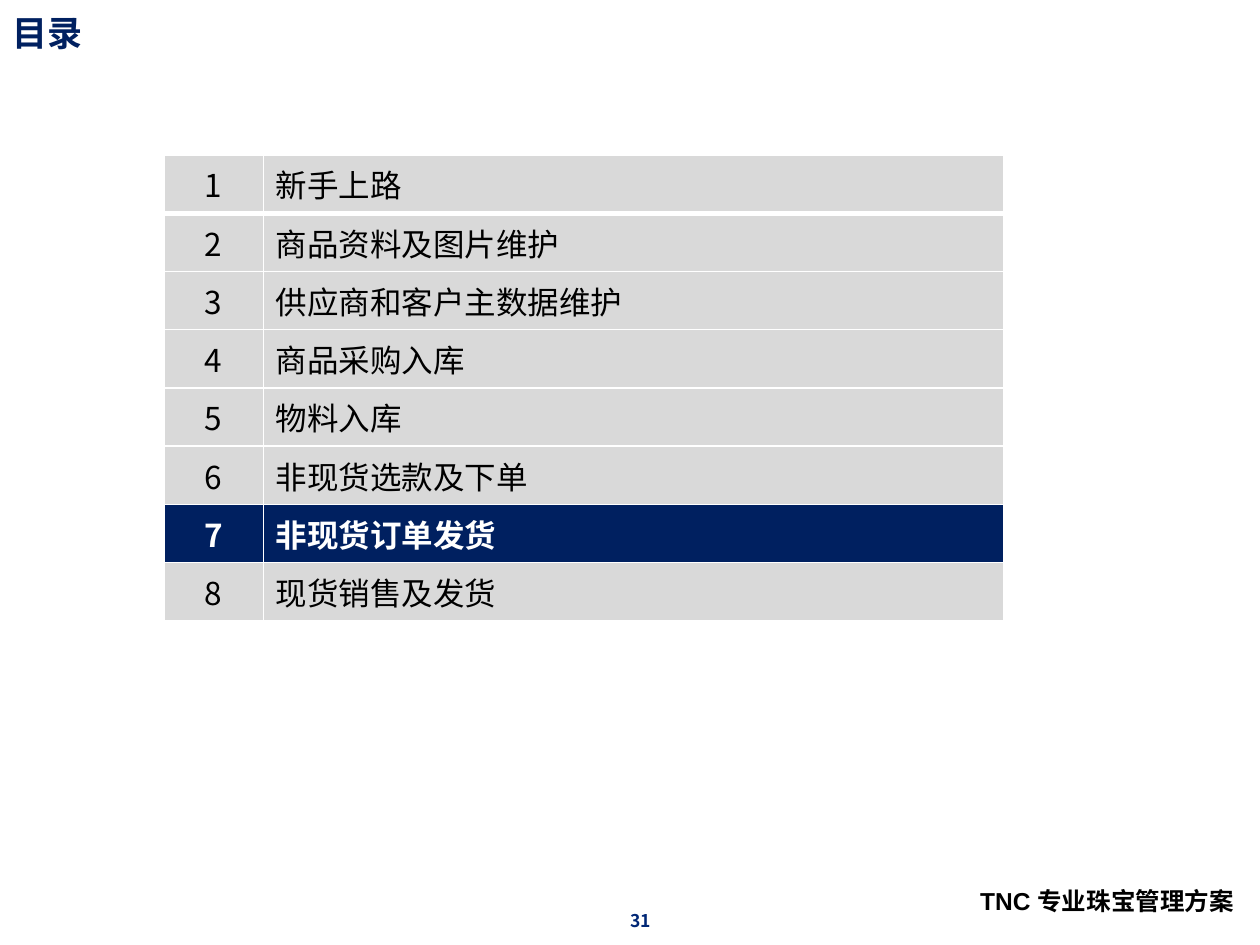
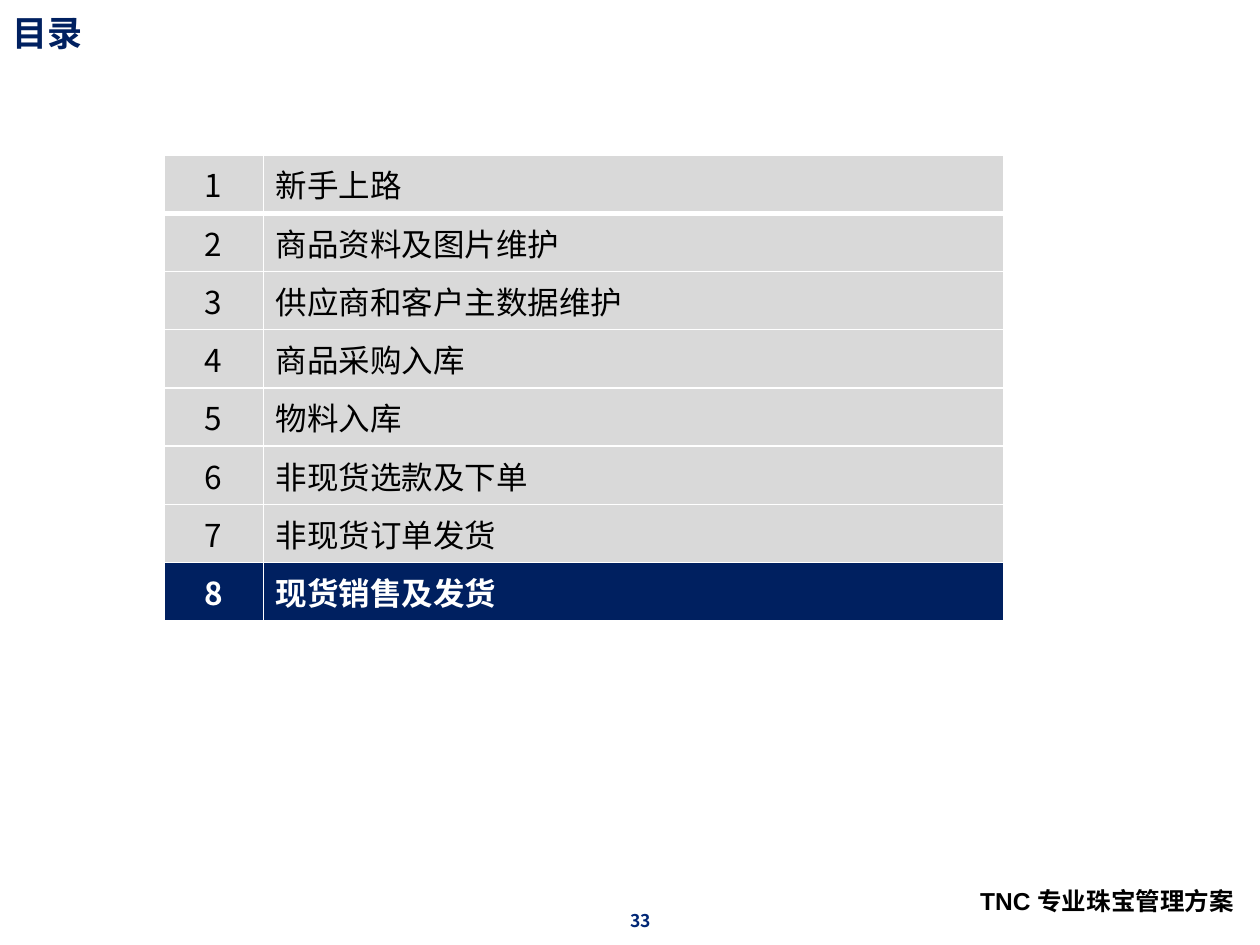
from lxml import etree
from pptx import Presentation
from pptx.dml.color import RGBColor
from pptx.enum import text
from pptx.oxml import ns
from pptx.util import Inches, Pt

FONT = "Noto Sans CJK SC"
NAVY, NUMBER_BLUE, GREY = "002060", "002776", "D9D9D9"
BLACK, WHITE = "000000", "FFFFFF"
TITLE = "目录"
FOOTER = "TNC 专业珠宝管理方案"
CHAPTERS = [
    "新手上路",
    "商品资料及图片维护",
    "供应商和客户主数据维护",
    "商品采购入库",
    "物料入库",
    "非现货选款及下单",
    "非现货订单发货",
    "现货销售及发货",
]
COLUMN_WIDTHS = (0.79, 5.88)
TABLE_HEIGHT = 3.7
PAGES = [(31, 7), (33, 8)]  # page number, current chapter


def colour(value):
    return RGBColor.from_string(value)


def write(frame, words, size=18, name=FONT, shade=BLACK, bold=False,
          align=text.PP_ALIGN.LEFT, spacing=None):
    """Fill a text frame with one formatted paragraph."""
    para = frame.paragraphs[0]
    para.alignment = align
    para.line_spacing = spacing
    span = para.add_run()
    span.text = words
    span.font.size = Pt(size)
    span.font.name = name
    span.font.bold = bold
    span.font.color.rgb = colour(shade)
    east_asian = etree.SubElement(span.font._element, ns.qn("a:ea"))
    east_asian.set("typeface", FONT)


def add_borders(cell, **widths):
    """Draw white borders; widths are points for L, R, T and B, in that order."""
    properties = cell._tc.get_or_add_tcPr()
    for side, width in widths.items():
        line = etree.SubElement(properties, ns.qn(f"a:ln{side}"), w=str(Pt(width)))
        fill = etree.SubElement(line, ns.qn("a:solidFill"))
        etree.SubElement(fill, ns.qn("a:srgbClr"), val=WHITE)


class ContentsDeck:
    def __init__(self):
        self.deck = Presentation()
        self.deck.slide_width, self.deck.slide_height = Inches(10), Inches(7.5)
        self.page = None

    def add_page(self, number):
        self.page = self.deck.slides.add_slide(self.deck.slide_layouts[5])
        self.add_title()
        self.add_text(5, 7.25, 0.39, 0.14, str(number), inset=0,
                      anchor=text.MSO_ANCHOR.BOTTOM, size=10,
                      shade=NUMBER_BLUE, bold=True)
        self.add_text(7.68, 6.98, 2.52, 0.34, FOOTER, size=14,
                      name="Arial", bold=True)

    def add_title(self):
        title = self.page.shapes.title
        title.left, title.top = Inches(0), Inches(0.08)
        title.width, title.height = Inches(9.5), Inches(0.45)
        frame = title.text_frame
        frame.auto_size = text.MSO_AUTO_SIZE.NONE
        frame.vertical_anchor = text.MSO_ANCHOR.TOP
        write(frame, TITLE, size=20, shade=NAVY, bold=True, spacing=0.9)

    def add_text(self, left, top, width, height, words, inset=None,
                 anchor=text.MSO_ANCHOR.TOP, **style):
        box = self.page.shapes.add_textbox(
            Inches(left), Inches(top), Inches(width), Inches(height))
        frame = box.text_frame
        frame.word_wrap = True
        frame.vertical_anchor = anchor
        if inset is not None:
            frame.margin_left = frame.margin_right = Inches(inset)
            frame.margin_top = frame.margin_bottom = Inches(inset)
        write(frame, words, **style)

    def add_contents(self, current):
        """Add the chapter table with the current chapter highlighted."""
        table = self.page.shapes.add_table(
            len(CHAPTERS), len(COLUMN_WIDTHS), Inches(1.3), Inches(1.23),
            Inches(sum(COLUMN_WIDTHS)), Inches(TABLE_HEIGHT)).table
        table.horz_banding = False
        for column, width in zip(table.columns, COLUMN_WIDTHS):
            column.width = Inches(width)
        aligns = (text.PP_ALIGN.CENTER, text.PP_ALIGN.LEFT)
        for number, (row, chapter) in enumerate(zip(table.rows, CHAPTERS), 1):
            active = number == current
            for cell, words, align in zip(row.cells, (str(number), chapter), aligns):
                add_borders(cell, L=1, R=1, T=3 if number == 2 else 1,
                            B=3 if number == 1 else 1)
                cell.fill.solid()
                cell.fill.fore_color.rgb = colour(NAVY if active else GREY)
                write(cell.text_frame, words, align=align, bold=active,
                      shade=WHITE if active else BLACK)


def main():
    contents = ContentsDeck()
    for number, current in PAGES:
        contents.add_page(number)
        contents.add_contents(current)
    contents.deck.save("out.pptx")


if __name__ == "__main__":
    main()
